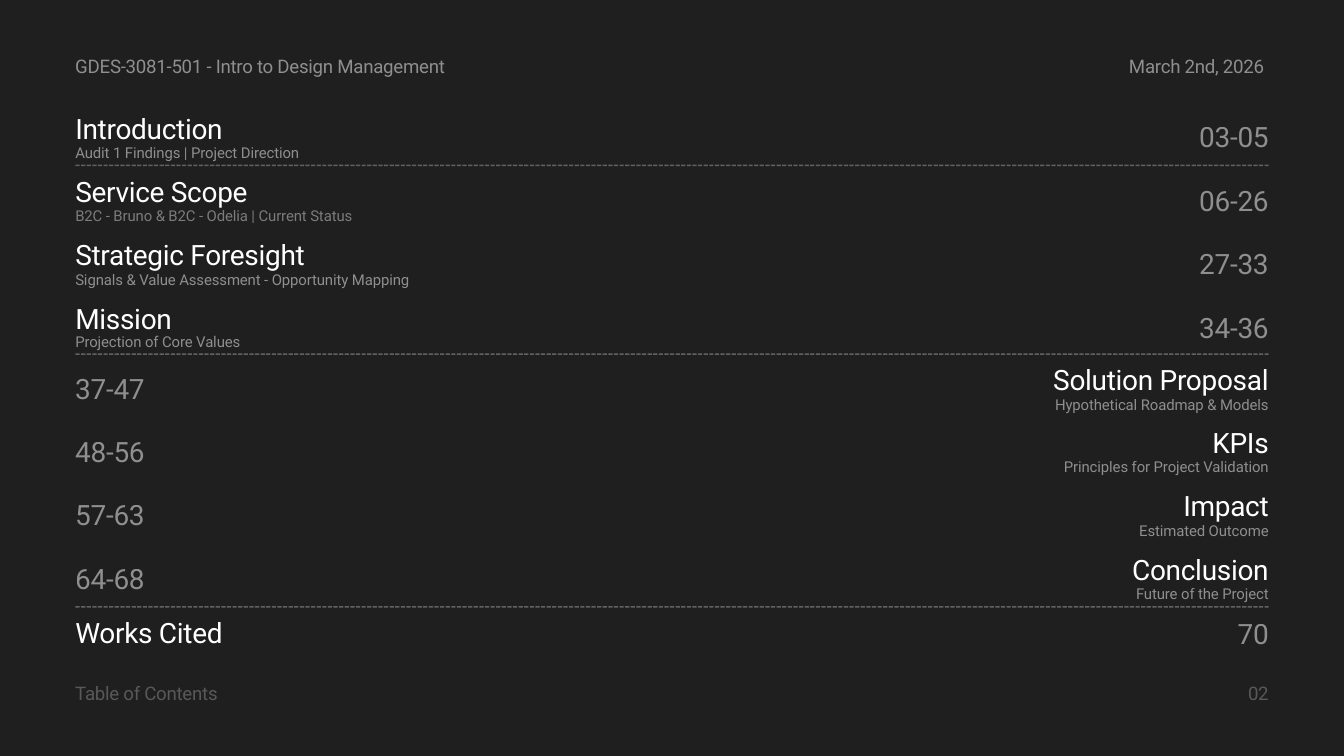
from lxml.etree import SubElement
from pptx import Presentation
from pptx.dml.color import RGBColor
from pptx.enum.dml import MSO_LINE
from pptx.enum.shapes import MSO_CONNECTOR
from pptx.enum.text import MSO_AUTO_SIZE, PP_ALIGN
from pptx.oxml.ns import qn
from pptx.util import Pt

PX = 9144
BACKGROUND = RGBColor(0x1F, 0x1F, 0x1F)
WHITE = RGBColor(0xFF, 0xFF, 0xFF)
SILVER = RGBColor(0xD9, 0xD9, 0xD9)
LEFT, RIGHT = 112, 1888
HEIGHTS = {30: 55, 20: 36, 16: 28}

presentation = Presentation()
presentation.slide_width = 2000 * PX
presentation.slide_height = 1125 * PX
slide = presentation.slides.add_slide(presentation.slide_layouts[6])
slide.background.fill.solid()
slide.background.fill.fore_color.rgb = BACKGROUND


def set_opacity(properties, percent):
    color = next(properties.iter(qn("a:srgbClr")))
    SubElement(color, qn("a:alpha")).set("val", str(percent * 1000))


def add_text(text, *, top, width, size, on_right=False, edge=RIGHT,
             color=WHITE, opacity=100, tracking=-30):
    left = edge - width if on_right else LEFT
    box = slide.shapes.add_textbox(left * PX, top * PX, width * PX, HEIGHTS[size] * PX)
    frame = box.text_frame
    frame.word_wrap = True
    frame.auto_size = MSO_AUTO_SIZE.SHAPE_TO_FIT_TEXT
    frame.margin_left = frame.margin_top = frame.margin_right = frame.margin_bottom = 0
    paragraph = frame.paragraphs[0]
    paragraph.alignment = PP_ALIGN.RIGHT if on_right else PP_ALIGN.LEFT
    paragraph.line_spacing = Pt(size * 1.4)
    run = paragraph.add_run()
    run.text = text
    run.font.name = "Roboto"
    run.font.size = Pt(size)
    run.font.color.rgb = color
    properties = run.font._element
    properties.set("spc", str(tracking))
    if opacity < 100:
        set_opacity(properties, opacity)


for top in (246, 527, 903):
    divider = slide.shapes.add_connector(
        MSO_CONNECTOR.STRAIGHT, RIGHT * PX, top * PX, LEFT * PX, top * PX)
    divider.line.color.rgb = WHITE
    divider.line.width = Pt(1.5)
    divider.line.dash_style = MSO_LINE.SQUARE_DOT
    properties = divider._element.spPr
    set_opacity(properties, 30)
    SubElement(properties, qn("a:effectLst"))

add_text("GDES-3081-501 - Intro to Design Management", top=76, width=824, size=20, opacity=50)
add_text("March 2nd, 2026", top=76, width=824, size=20, on_right=True, edge=1881, opacity=50)

sections = [
    (157, False, [
        ("Introduction", "Audit 1 Findings | Project Direction", "03-05", 52, WHITE),
        ("Service Scope", "B2C - Bruno & B2C - Odelia | Current Status", "06-26", 52, SILVER),
        ("Strategic Foresight", "Signals & Value Assessment - Opportunity Mapping", "27-33", 53, WHITE),
        ("Mission", "Projection of Core Values", "34-36", 50, WHITE),
    ]),
    (531, True, [
        ("Solution Proposal", "Hypothetical Roadmap & Models", "37-47", 53, WHITE),
        ("KPIs", "Principles for Project Validation", "48-56", 52, WHITE),
        ("Impact", "Estimated Outcome", "57-63", 53, WHITE),
        ("Conclusion", "Future of the Project", "64-68", 52, WHITE),
    ]),
]
for section_top, on_right, chapters in sections:
    for index, (title, summary, pages, summary_offset, summary_color) in enumerate(chapters):
        top = section_top + 283 * index // 3
        add_text(title, top=top, width=412, size=30, on_right=on_right)
        add_text(summary, top=top + summary_offset, width=541, size=16, on_right=on_right,
                 color=summary_color, opacity=50, tracking=-10)
        add_text(pages, top=top + 13, width=154, size=30, on_right=not on_right, opacity=50)

add_text("Works Cited", top=908, width=222, size=30)
add_text("70", top=909, width=119, size=30, on_right=True, opacity=50)
add_text("Table of Contents", top=1009, width=824, size=20, opacity=25)
add_text("02", top=1009, width=824, size=20, on_right=True, opacity=25)

presentation.save("out.pptx")
